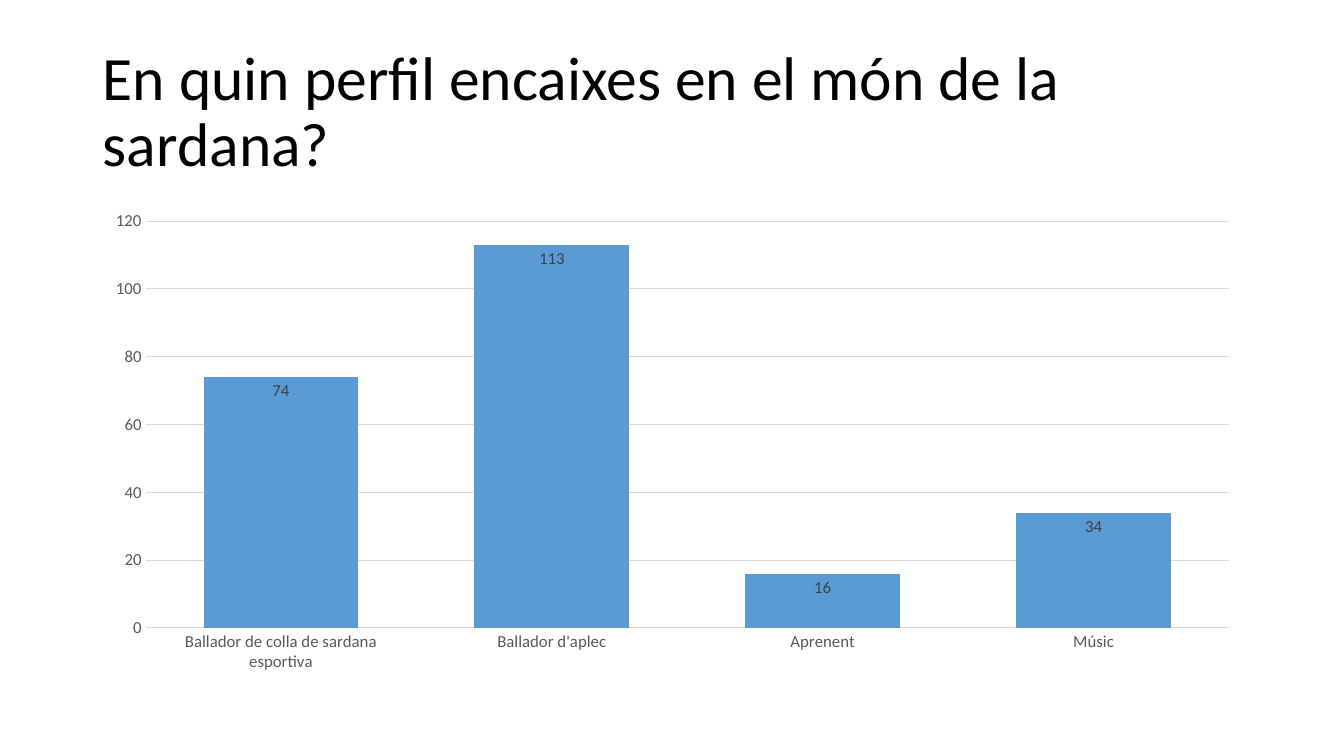
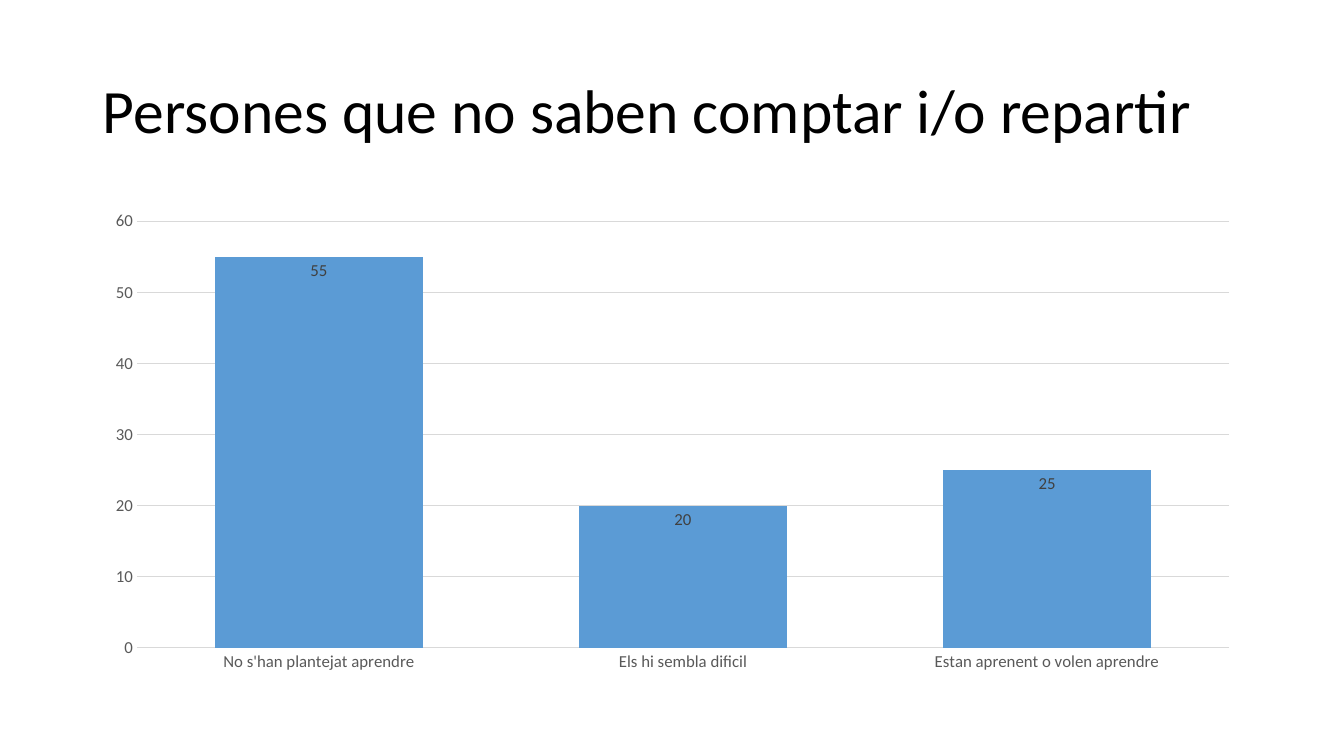
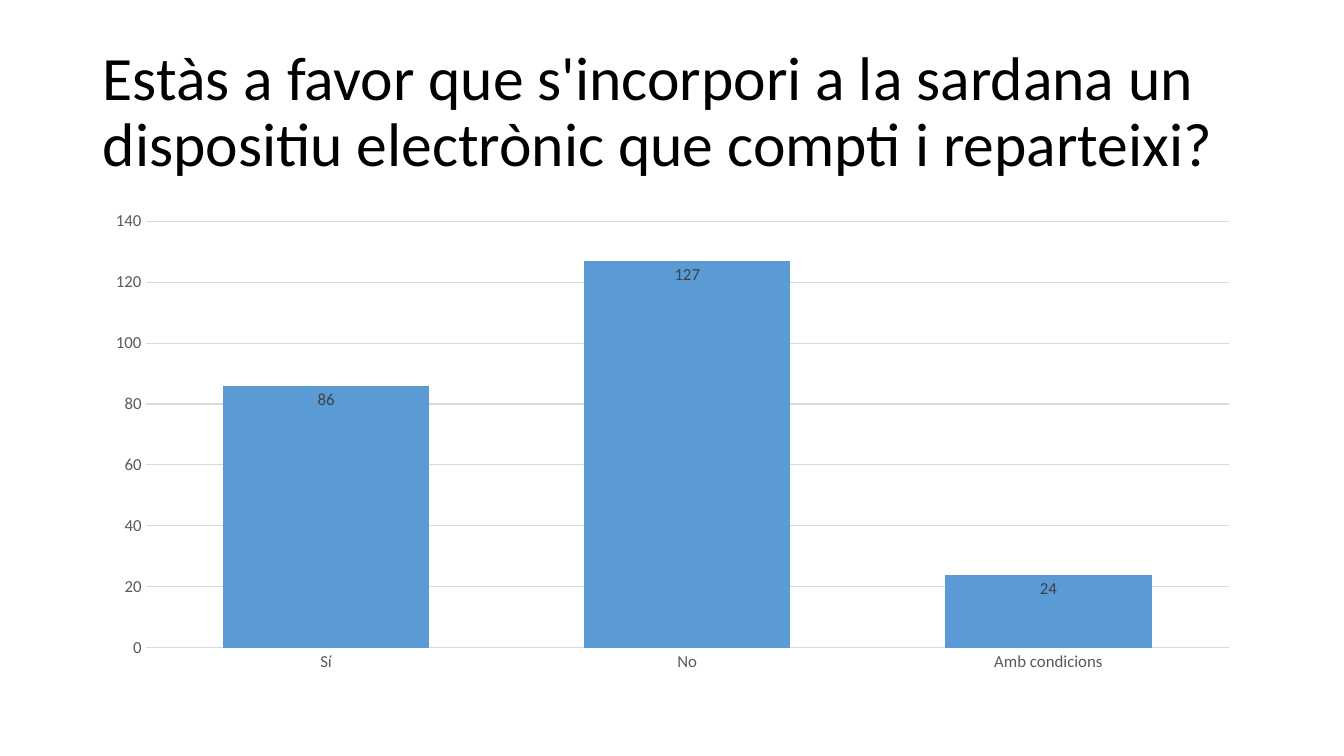
from pptx import Presentation
from pptx.chart.data import CategoryChartData
from pptx.dml.color import RGBColor
from pptx.enum.chart import XL_CHART_TYPE as CHART, XL_LABEL_POSITION as LABEL, XL_TICK_MARK as TICK
from pptx.enum.text import MSO_ANCHOR as ANCHOR, MSO_AUTO_SIZE as FIT, PP_ALIGN as ALIGN
from pptx.util import Inches, Pt

FONT = "Calibri"
BLACK, GREY, DARK, RULE, BLUE = "000000", "595959", "404040", "D9D9D9", "5B9BD5"
TITLE_BOX = (0.92, 0.4, 11.5, 1.45)
CHART_BOX = (0.92, 2, 11.5, 4.76)

SURVEY = [
    ("En quin perfil encaixes en el món de la sardana?", 120, 20,
     {"Ballador de colla de sardana esportiva": 74, "Ballador d'aplec": 113,
      "Aprenent": 16, "Músic": 34}),
    ("Persones que no saben comptar i/o repartir", 60, 10,
     {"No s'han plantejat aprendre": 55, "Els hi sembla dificil": 20,
      "Estan aprenent o volen aprendre": 25}),
    ("Estàs a favor que s'incorpori a la sardana un dispositiu electrònic "
     "que compti i reparteixi?", 140, 20,
     {"Sí": 86, "No": 127, "Amb condicions": 24}),
]


def rgb(color):
    """Turn a hex string into a colour."""
    return RGBColor.from_string(color)


def style_font(font, size, color):
    """Apply the shared typeface with a size and a colour."""
    font.name, font.size, font.bold = FONT, Pt(size), False
    font.color.rgb = rgb(color)


def style_rule(line):
    """Draw an axis or grid line as a thin grey rule."""
    line.color.rgb = rgb(RULE)
    line.width = Pt(0.75)


def set_title(s, text, box):
    """Place and format the slide title."""
    sp = s.shapes.title
    sp.left, sp.top, sp.width, sp.height = map(Inches, box)
    tf = sp.text_frame
    tf.text = text
    tf.word_wrap = True
    tf.auto_size = FIT.NONE
    tf.vertical_anchor = ANCHOR.MIDDLE
    p = tf.paragraphs[0]
    p.alignment = ALIGN.LEFT
    p.line_spacing = 0.9
    style_font(p.runs[0].font, 44, BLACK)


def add_columns(s, answers, top, step, box):
    """Add a column chart of the answers in the given box."""
    data = CategoryChartData()
    data.categories = list(answers)
    data.add_series("Series 1", list(answers.values()))
    chart = s.shapes.add_chart(CHART.COLUMN_CLUSTERED, *map(Inches, box), data).chart
    chart.has_legend = chart.has_title = False
    style_font(chart.font, 10, BLACK)

    for axis in (chart.category_axis, chart.value_axis):
        axis.major_tick_mark = axis.minor_tick_mark = TICK.NONE
        style_font(axis.tick_labels.font, 12, GREY)
    style_rule(chart.category_axis.format.line)
    values = chart.value_axis
    values.minimum_scale, values.maximum_scale, values.major_unit = 0, top, step
    values.format.line.fill.background()
    style_rule(values.major_gridlines.format.line)

    plot = chart.plots[0]
    plot.gap_width, plot.overlap, plot.vary_by_categories = 75, 40, False
    series = plot.series[0]
    series.format.fill.solid()
    series.format.fill.fore_color.rgb = rgb(BLUE)
    labels = series.data_labels
    labels.show_value = True
    labels.position = LABEL.INSIDE_END
    style_font(labels.font, 12, DARK)


def main():
    """Build one slide for each survey question."""
    prs = Presentation()
    prs.slide_width, prs.slide_height = Inches(13.33), Inches(7.5)
    for title, top, step, answers in SURVEY:
        s = prs.slides.add_slide(prs.slide_layouts[5])
        set_title(s, title, TITLE_BOX)
        add_columns(s, answers, top, step, CHART_BOX)
    prs.save("out.pptx")


if __name__ == "__main__":
    main()
